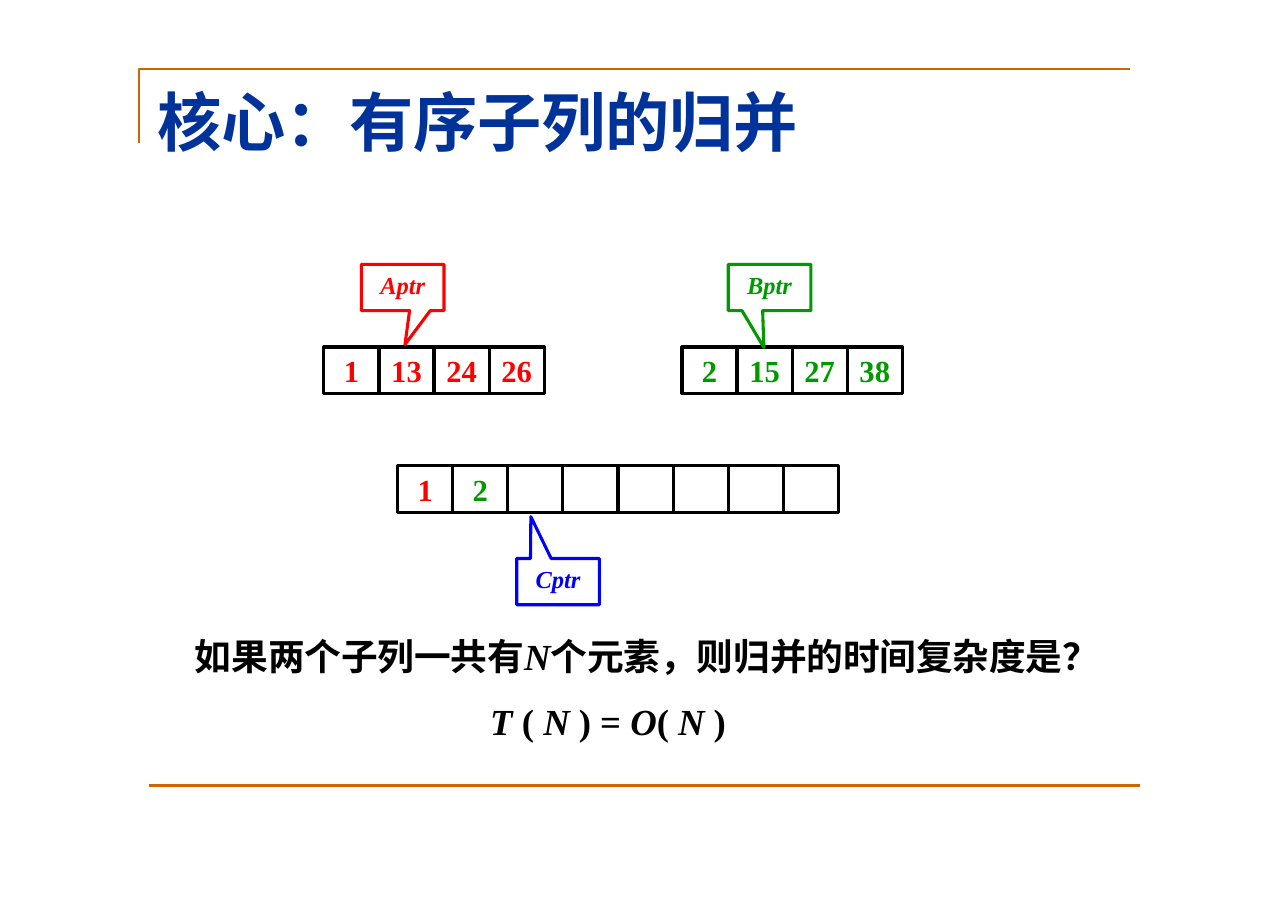
from pptx import Presentation
from pptx.dml.color import RGBColor
from pptx.enum.shapes import MSO_CONNECTOR, MSO_SHAPE
from pptx.enum.text import MSO_ANCHOR, PP_ALIGN
from pptx.oxml.ns import qn
from pptx.util import Inches, Pt
from lxml import etree

RECT, CALLOUT = MSO_SHAPE.RECTANGLE, MSO_SHAPE.RECTANGULAR_CALLOUT
TOP, MIDDLE = MSO_ANCHOR.TOP, MSO_ANCHOR.MIDDLE
LEFT, CENTER = PP_ALIGN.LEFT, PP_ALIGN.CENTER

ORANGE = RGBColor(0xCC, 0x66, 0x00)
NAVY = RGBColor(0x00, 0x33, 0x9A)
RED = RGBColor(0xFF, 0x00, 0x00)
GREEN = RGBColor(0x00, 0x99, 0x00)
BLUE = RGBColor(0x00, 0x00, 0xFF)
BLACK = RGBColor(0x00, 0x00, 0x00)

CHINESE, LATIN = "Noto Sans CJK SC", "Times New Roman"

TITLE = "核心：有序子列的归并"
# left, top, values with their colour (None leaves a cell empty)
LISTS = [
    (2.94, 3.15, [(value, RED) for value in ("1", "13", "24", "26")]),
    (6.19, 3.15, [(value, GREEN) for value in ("2", "15", "27", "38")]),
    (3.61, 4.23, [("1", RED), ("2", GREEN)] + [(None, BLACK)] * 6),
]
# label, colour, left, top, tip offset as a share of the box size
POINTERS = [
    ("Aptr", RED, 3.28, 2.4, (0.028, 1.233)),
    ("Bptr", GREEN, 6.61, 2.4, (-0.069, 1.296)),
    ("Cptr", BLUE, 4.69, 5.07, (-0.329, -1.404)),
]
# text, font, italic, letter spacing
QUESTION = [
    ("如果两个子列一共有", CHINESE, False, -0.1),
    ("N", LATIN, True, -0.1),
    ("个元素，则归并的时间复杂度是？", CHINESE, False, -0.1),
]
ANSWER = [
    ("T ", LATIN, True, 0),
    ("( ", LATIN, False, 0),
    ("N ", LATIN, True, -0.1),
    (") = ", LATIN, False, 0),
    ("O", LATIN, True, -0.1),
    ("( ", LATIN, False, -0.1),
    ("N ", LATIN, True, -0.1),
    (")", LATIN, False, 0),
]
CELL_W, CELL_H = 0.5, 0.42
POINTER_W, POINTER_H = 0.75, 0.42


def add_text(paragraph, text, size, color=BLACK, font=LATIN, italic=False, spacing=0):
    run = paragraph.add_run()
    run.text = text
    run.font.size = Pt(size)
    run.font.bold = True
    run.font.italic = italic
    run.font.color.rgb = color
    run.font.name = font
    properties = run.font._element
    etree.SubElement(properties, qn("a:ea")).set("typeface", font)
    if spacing:
        properties.set("spc", str(round(spacing * 100)))


def set_frame(frame, insets=(0, 0, 0, 0), anchor=TOP, wrap=True):
    """Set the insets (left, top, right, bottom), anchor and wrap of a text frame."""
    frame.margin_left, frame.margin_top, frame.margin_right, frame.margin_bottom = map(Inches, insets)
    frame.vertical_anchor = anchor
    frame.word_wrap = wrap


def add_outline(shapes, kind, left, top, width, height, color):
    """Add an unfilled shape with a 2 pt border."""
    shape = shapes.add_shape(kind, Inches(left), Inches(top), Inches(width), Inches(height))
    shape.shadow.inherit = False
    shape.fill.background()
    shape.line.color.rgb = color
    shape.line.width = Pt(2)
    return shape


def add_rules(shapes):
    """Draw the corner above the title and the line at the foot."""
    builder = shapes.build_freeform(Inches(1.26), Inches(1.3))
    builder.add_line_segments(
        [(Inches(1.26), Inches(0.63)), (Inches(10.26), Inches(0.63))], close=False)
    corner = builder.convert_to_shape()
    corner.shadow.inherit = False
    corner.fill.background()
    foot = shapes.add_connector(
        MSO_CONNECTOR.STRAIGHT, Inches(1.35), Inches(7.13), Inches(10.35), Inches(7.13))
    etree.SubElement(foot._element.spPr, qn("a:effectLst"))
    for rule in (corner, foot):
        rule.line.color.rgb = ORANGE
        rule.line.width = Pt(1.5)


def add_title(title):
    title.left, title.top, title.width, title.height = map(Inches, (1.43, 0.74, 5.86, 0.73))
    set_frame(title.text_frame, insets=(0, 0.01, 0, 0), wrap=False)
    paragraph = title.text_frame.paragraphs[0]
    paragraph.alignment = LEFT
    paragraph.line_spacing = 1.0
    add_text(paragraph, TITLE, 42, NAVY, CHINESE, spacing=-0.2)


def add_list(shapes, left, top, values):
    cells = shapes.add_group_shape().shapes
    for index, (value, color) in enumerate(values):
        cell = add_outline(cells, RECT, left + index * CELL_W, top, CELL_W, CELL_H, BLACK)
        if value:
            set_frame(cell.text_frame, anchor=MIDDLE, wrap=False)
            paragraph = cell.text_frame.paragraphs[0]
            paragraph.alignment = CENTER
            add_text(paragraph, value, 20, color)


def add_pointer(shapes, label, color, left, top, tip):
    callout = add_outline(shapes, CALLOUT, left, top, POINTER_W, POINTER_H, color)
    callout.adjustments[0], callout.adjustments[1] = tip
    set_frame(callout.text_frame, insets=(0.02, 0.05, 0.02, 0.05))
    paragraph = callout.text_frame.paragraphs[0]
    paragraph.alignment = CENTER
    add_text(paragraph, label, 16, color, italic=True)


def add_complexity(shapes):
    """Write the question about running time and its answer."""
    box = shapes.add_textbox(Inches(1.77), Inches(5.55), Inches(8.6), Inches(1.21))
    frame = box.text_frame
    set_frame(frame, insets=(0, 0.2, 0, 0))
    question, answer = frame.paragraphs[0], frame.add_paragraph()
    answer.space_before = Pt(13.7)
    answer._p.get_or_add_pPr().set("marL", str(Inches(2.68)))
    for paragraph, parts in ((question, QUESTION), (answer, ANSWER)):
        for text, font, italic, spacing in parts:
            add_text(paragraph, text, 24, font=font, italic=italic, spacing=spacing)


def main():
    deck = Presentation()
    deck.slide_width, deck.slide_height = Inches(11.69), Inches(8.27)
    slide = deck.slides.add_slide(deck.slide_layouts[5])
    add_rules(slide.shapes)
    add_title(slide.shapes.title)
    add_complexity(slide.shapes)
    for left, top, values in LISTS:
        add_list(slide.shapes, left, top, values)
    for pointer in POINTERS:
        add_pointer(slide.shapes, *pointer)
    deck.save("out.pptx")


if __name__ == "__main__":
    main()
